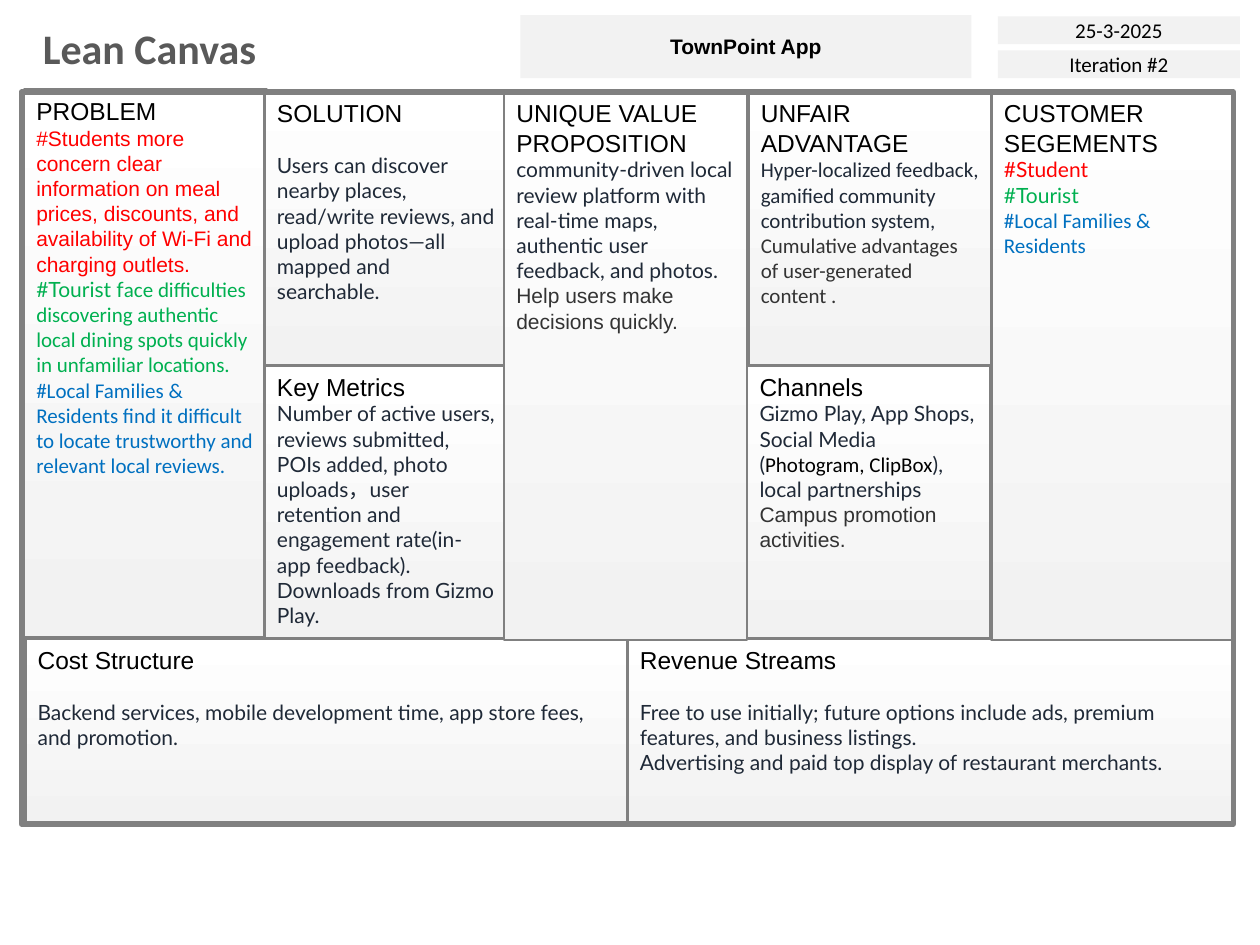
from pptx import Presentation
from pptx.dml.color import RGBColor
from pptx.enum.shapes import MSO_SHAPE
from pptx.enum.text import MSO_ANCHOR, MSO_AUTO_SIZE, PP_ALIGN
from pptx.util import Inches, Pt

THEME = {
    "ink": "000000", "title": "595959", "body": "1F2937", "soft": "333333",
    "red": "FF0000", "green": "00B050", "blue": "0070C0",
    "edge": "808080", "pale": "F2F2F2", "white": "FFFFFF",
    "big": 24, "head": 14, "text": 12, "gap": 14.4,
    "sans": "Arial", "cal": "Calibri", "lato": "Lato",
}

TAGS = [
    ((4.13, 0.12, 3.58, 0.5), "TownPoint App", "sans", True),
    ((7.92, 0.13, 1.92, 0.22), "25-3-2025", "cal", False),
    ((7.92, 0.4, 1.92, 0.22), "Iteration #2", "cal", False),
]

COLS = [0.19, 2.1, 4, 5.93, 7.87]
WIDE = [0.2, 4.98]
TOP, HALF, FULL, BASE = 0.73, 2.17, 4.35, 5.07
MID = TOP + HALF
COL_W, WIDE_W, WIDE_H = 1.93, 4.81, 1.46
FRAME = (0.17, TOP, 9.62, 5.81)

CARDS = [
    ("Cost Structure", (WIDE[0], BASE, WIDE_W, WIDE_H), True, [
        [("Backend services, mobile development time, app store fees, and promotion.", "lato", "body")],
    ]),
    ("Revenue Streams", (WIDE[1], BASE, WIDE_W, WIDE_H), True, [
        [("Free to use initially; future options include ads, premium features, and business listings.", "lato", "body")],
        [("Advertising and paid top display of restaurant merchants.", "lato", "body")],
    ]),
    ("PROBLEM", (COLS[0], 0.71, COL_W, FULL), False, [
        [("#Students more concern clear information on meal prices, discounts, and availability of Wi-Fi and charging outlets.", "sans", "red")],
        [("#Tourist f", "lato", "green"),
         ("ace difficulties discovering authentic local dining spots quickly in unfamiliar locations.", "cal", "green")],
        [("#Local Families & Residents find it difficult to locate trustworthy and relevant local reviews.", "cal", "blue")],
    ]),
    ("SOLUTION", (COLS[1], TOP, COL_W, HALF), True, [
        [("Users can discover nearby places, read/write reviews, and upload photos—all mapped and searchable.", "lato", "body")],
    ]),
    ("Key Metrics", (COLS[1], MID, COL_W, HALF), False, [
        [("Number of active users, reviews submitted, POIs added, photo uploads，user retention and engagement rate(in-app feedback).", "lato", "body")],
        [("Downloads from Gizmo Play.", "lato", "body")],
    ]),
    ("UNIQUE VALUE PROPOSITION", (COLS[2], TOP, COL_W, FULL), False, [
        [("community-driven local review platform with real-time maps, authentic user feedback, and photos.", "lato", "body"),
         (" Help users make decisions quickly.", "sans", "soft")],
    ]),
    ("UNFAIR ADVANTAGE", (COLS[3] + 0.01, TOP, COL_W, HALF), False, [
        [("Hyper-localized feedback, gamified community contribution system, ", "cal", "body"),
         ("Cumulative advantages of user-generated content .", "cal", "soft")],
    ]),
    ("Channels", (COLS[3], MID, COL_W, HALF), False, [
        [("Gizmo Play, App Shops, Social Media (", "lato", "body"),
         ("Photogram, ClipBox", "cal", "ink"), ("),", "lato", "body")],
        [("local partnerships ", "lato", "body"),
         ("Campus promotion activities.", "sans", "soft")],
    ]),
    ("CUSTOMER SEGEMENTS", (COLS[4], TOP, COL_W, FULL), False, [
        [("#Student", "lato", "red")],
        [("#Tourist", "lato", "green")],
        [("#Local Families & Residents", "cal", "blue")],
    ]),
]


def tint(name):
    return RGBColor.from_string(THEME[name])


def put_run(para, text, face, color, size="text", bold=False):
    run = para.add_run()
    run.text = text
    font = run.font
    font.name, font.size, font.bold = THEME[face], Pt(THEME[size]), bold
    font.color.rgb = tint(color)


def put_box(slide, kind, place):
    box = slide.shapes.add_shape(kind, *map(Inches, place))
    box.shadow.inherit = False
    box.text_frame.word_wrap = True
    return box


def put_panel(slide, place, weight):
    box = put_box(slide, MSO_SHAPE.ROUNDED_RECTANGLE, place)
    box.adjustments[0] = 0
    box.line.color.rgb = tint("edge")
    box.line.width = Pt(weight)
    return box


def put_title(slide):
    title = slide.shapes.title
    title.left, title.top, title.width, title.height = map(Inches, (0.24, 0.13, 1.92, 0.5))
    frame = title.text_frame
    frame.word_wrap = False
    frame.auto_size = MSO_AUTO_SIZE.SHAPE_TO_FIT_TEXT
    frame.vertical_anchor = MSO_ANCHOR.TOP
    para = frame.paragraphs[0]
    para.alignment = PP_ALIGN.LEFT
    put_run(para, "Lean Canvas", "cal", "title", "big", True)


def put_tag(slide, place, text, face, bold):
    box = put_box(slide, MSO_SHAPE.RECTANGLE, place)
    box.fill.solid()
    box.fill.fore_color.rgb = tint("pale")
    box.line.fill.background()
    box.text_frame.vertical_anchor = MSO_ANCHOR.MIDDLE
    para = box.text_frame.paragraphs[0]
    para.alignment = PP_ALIGN.CENTER
    put_run(para, text, face, "ink", bold=bold)


def put_card(slide, head, place, gap, paras):
    box = put_panel(slide, place, 1.5)
    box.fill.gradient()
    box.fill.gradient_angle = 90
    for stop, name in zip(box.fill.gradient_stops, ("pale", "white")):
        stop.color.rgb = tint(name)
    frame = box.text_frame
    frame.vertical_anchor = MSO_ANCHOR.TOP
    first = frame.paragraphs[0]
    first.alignment = PP_ALIGN.LEFT
    put_run(first, head, "sans", "ink", "head")
    for i, runs in enumerate(paras):
        para = frame.add_paragraph()
        para.alignment = PP_ALIGN.LEFT
        if gap and i == 0:
            para.space_before = Pt(THEME["gap"])
        for run in runs:
            put_run(para, *run)


def main():
    deck = Presentation()
    deck.slide_width, deck.slide_height = Inches(10), Inches(7.5)
    slide = deck.slides.add_slide(deck.slide_layouts[5])
    put_title(slide)
    for tag in TAGS:
        put_tag(slide, *tag)
    for card in CARDS:
        put_card(slide, *card)
    put_panel(slide, FRAME, 3).fill.background()
    deck.save("out.pptx")


if __name__ == "__main__":
    main()
